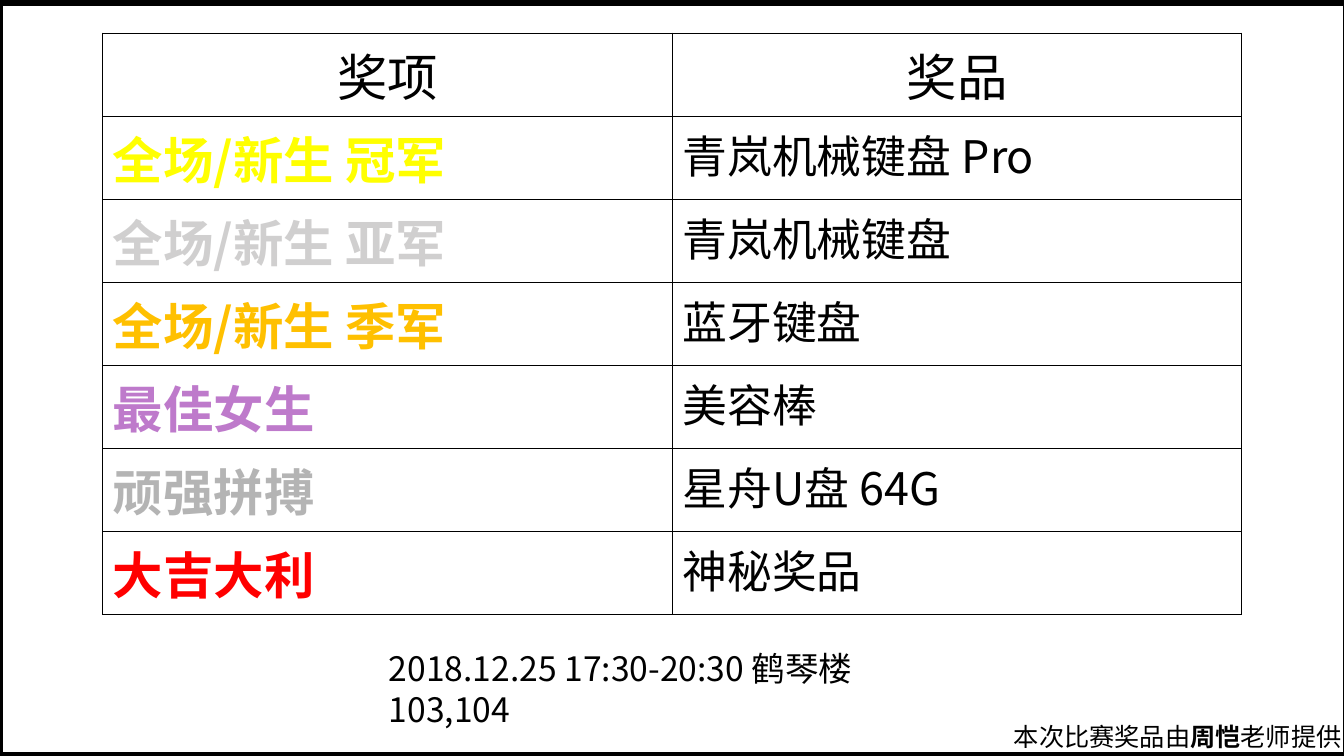
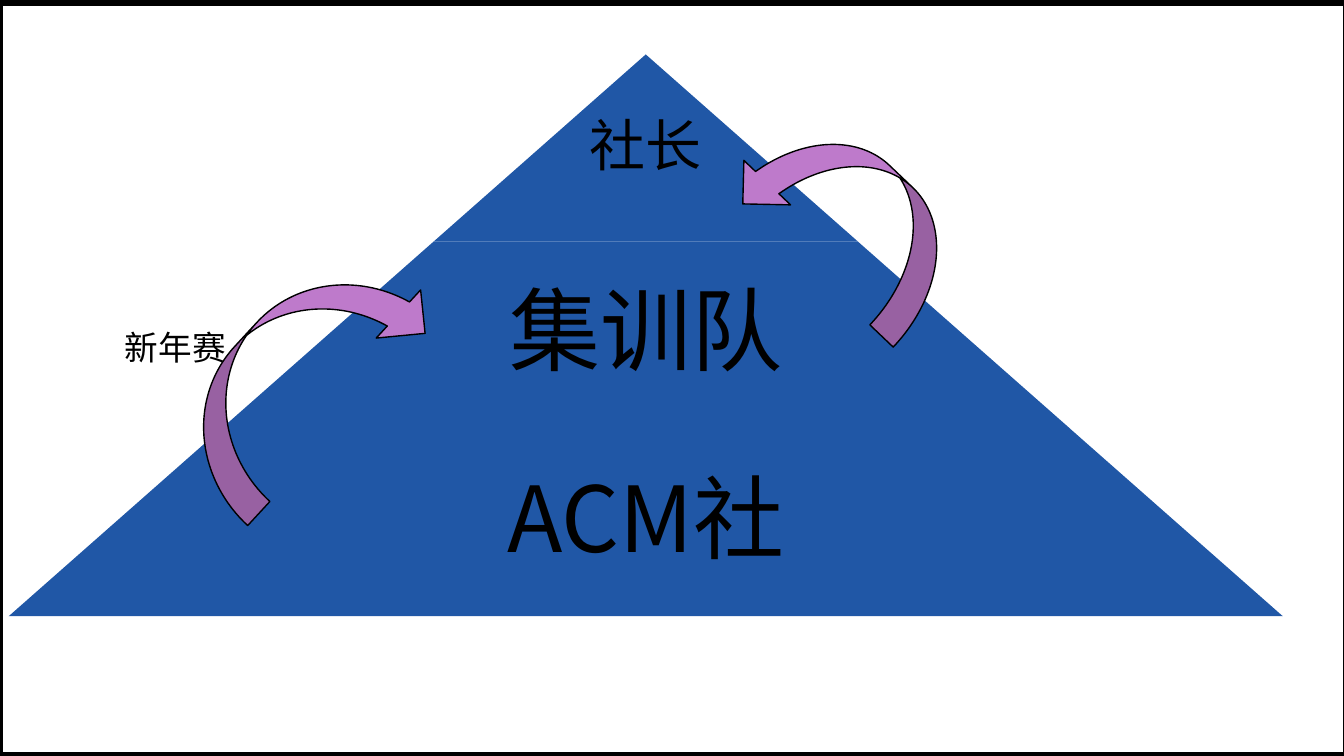
from lxml.etree import SubElement
from pptx import Presentation
from pptx.dml.color import RGBColor
from pptx.enum.shapes import MSO_SHAPE
from pptx.enum.text import MSO_ANCHOR, PP_ALIGN
from pptx.oxml import parse_xml
from pptx.oxml.ns import nsdecls, qn
from pptx.util import Inches, Pt

COLORS = {
    "ink": "000000",
    "paper": "FFFFFF",
    "pyramid": "2057A6",
    "ribbon": "BE7ACB",
    "gold": "FFFF00",
    "silver": "D0CFCF",
    "bronze": "FFC000",
    "orchid": "BE7ACB",
    "grit": "B4B4B4",
    "lucky": "FF0000",
}
FONT = "Noto Sans CJK SC"
SLIDE_W, SLIDE_H = Inches(13.33), Inches(7.5)

# Areas are left, top, width, height in percent of the slide
FRAMES = [((0, 0.13, 100.12, 99.87), 4.5), ((-0.22, 0.27, 100.42, 99.73), 6)]
AWARDS = [
    ("全场/新生 冠军", "gold", "青岚机械键盘 Pro"),
    ("全场/新生 亚军", "silver", "青岚机械键盘"),
    ("全场/新生 季军", "bronze", "蓝牙键盘"),
    ("最佳女生", "orchid", "美容棒"),
    ("顽强拼搏", "grit", "星舟U盘 64G"),
    ("大吉大利", "lucky", "神秘奖品"),
]
TIERS = [("社长", 40), ("集训队", 65), ("ACM社", 65)]
PYRAMID_CENTER, PYRAMID_TOP = 48.05, 7.2
TIER_STEP, TIER_HEIGHT, TIER_SLOPE = 31.6, 24.77, 1.134


def area(left, top, width, height):
    return (round(SLIDE_W * left / 100), round(SLIDE_H * top / 100),
            round(SLIDE_W * width / 100), round(SLIDE_H * height / 100))


def color(name):
    return RGBColor.from_string(COLORS[name])


def add_run(paragraph, text, size, tint="ink", bold=False):
    run = paragraph.add_run()
    run.text = text
    run.font.size, run.font.bold = Pt(size), bold
    run.font.color.rgb = color(tint)
    run.font.name = FONT
    SubElement(run.font._element, qn("a:ea")).set("typeface", FONT)


def add_text(slide, place, runs, size, wrap=True):
    """Add a one-paragraph text box; runs are (text, bold) pairs."""
    frame = slide.shapes.add_textbox(*area(*place)).text_frame
    frame.word_wrap = wrap
    for text, bold in runs:
        add_run(frame.paragraphs[0], text, size, bold=bold)
    return frame


def add_border(cell, width):
    properties = cell._tc.get_or_add_tcPr()
    for index, side in enumerate(("lnL", "lnR", "lnT", "lnB")):
        properties.insert(index, parse_xml(
            f'<a:{side} {nsdecls("a")} w="{Pt(width)}"><a:solidFill>'
            f'<a:srgbClr val="{COLORS["ink"]}"/></a:solidFill></a:{side}>'))


def add_ruled_table(slide, rows, columns, place, border):
    table = slide.shapes.add_table(rows, columns, *area(*place)).table
    table.first_row = table.horz_banding = False
    for cell in table.iter_cells():
        add_border(cell, border)
        cell.fill.background()
    return table


def add_solid(slide, preset, place, fill, outline=None):
    solid = slide.shapes.add_shape(preset, *area(*place))
    solid.shadow.inherit = False
    solid.fill.solid()
    solid.fill.fore_color.rgb = color(fill)
    if outline:
        solid.line.color.rgb = color(outline)
        solid.line.width = Pt(1)
    else:
        solid.line.fill.background()
    return solid


def add_ribbon(slide, preset, place, rotation):
    add_solid(slide, preset, place, "ribbon", "ink").rotation = rotation


def add_tier(slide, level, label, size):
    """Each tier is one step wider than the one above it."""
    width = TIER_STEP * (level + 1)
    place = (PYRAMID_CENTER - width / 2, PYRAMID_TOP + TIER_HEIGHT * level,
             width, TIER_HEIGHT)
    tier = add_solid(slide, MSO_SHAPE.TRAPEZOID, place, "pyramid")
    tier.adjustments[0] = TIER_SLOPE
    frame = add_text(slide, place, [(label, False)], size)
    frame.vertical_anchor = MSO_ANCHOR.MIDDLE
    frame.paragraphs[0].alignment = PP_ALIGN.CENTER
    frame.paragraphs[0].line_spacing = 0.9


def add_framed_slide(deck):
    slide = deck.slides.add_slide(deck.slide_layouts[6])
    slide.background.fill.solid()
    slide.background.fill.fore_color.rgb = color("paper")
    for place, border in FRAMES:
        add_ruled_table(slide, 1, 1, place, border)
    return slide


def build_awards(deck):
    slide = add_framed_slide(deck)

    # Awards and prizes
    awards = add_ruled_table(slide, len(AWARDS) + 1, 2,
                             (7.65, 4.4, 84.75, 73.07), 1)
    for column, heading in enumerate(("奖项", "奖品")):
        paragraph = awards.cell(0, column).text_frame.paragraphs[0]
        paragraph.alignment = PP_ALIGN.CENTER
        add_run(paragraph, heading, 36)
    for row, (award, tint, prize) in enumerate(AWARDS, 1):
        add_run(awards.cell(row, 0).text_frame.paragraphs[0], award, 36, tint, True)
        add_run(awards.cell(row, 1).text_frame.paragraphs[0], prize, 32)

    # Time, place and sponsor
    add_text(slide, (28.2, 85.07, 43.72, 6.67),
             [("2018.12.25 17:30-20:30 鹤琴楼103,104", False)], 24)
    add_text(slide, (74.7, 94.8, 26.4, 5.33),
             [("本次比赛奖品由", False), ("周恺", True), ("老师提供", False)],
             18, wrap=False)


def build_pyramid(deck):
    slide = add_framed_slide(deck)

    # Tiers of the club
    for level, (label, size) in enumerate(TIERS):
        add_tier(slide, level, label, size)

    # Ways up
    add_ribbon(slide, MSO_SHAPE.CURVED_LEFT_ARROW,
               (17.4, 29.87, 9.75, 38.93), 222.7)
    add_text(slide, (8.55, 42.53, 9.98, 6.67), [("新年赛", False)], 24)
    add_ribbon(slide, MSO_SHAPE.CURVED_RIGHT_ARROW,
               (58.5, 12.93, 9.6, 31.73), 133.6)


def main():
    deck = Presentation()
    deck.slide_width, deck.slide_height = SLIDE_W, SLIDE_H
    build_awards(deck)
    build_pyramid(deck)
    deck.save("out.pptx")


if __name__ == "__main__":
    main()
